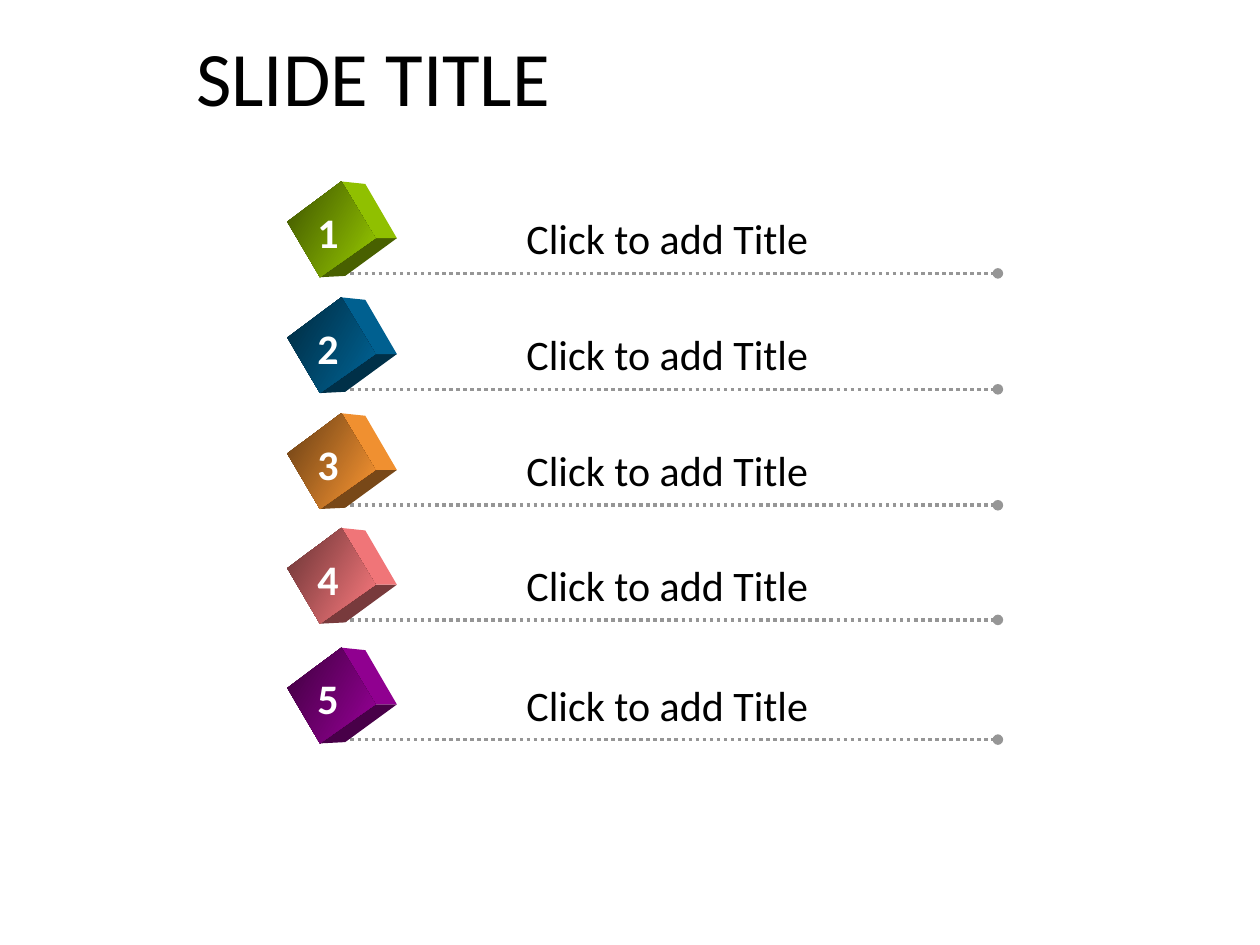
from lxml import etree
from pptx import Presentation
from pptx.dml.color import RGBColor
from pptx.enum.dml import MSO_LINE
from pptx.enum.shapes import MSO_CONNECTOR
from pptx.enum.text import MSO_ANCHOR, MSO_AUTO_SIZE
from pptx.oxml.ns import qn
from pptx.util import Inches, Pt

STRAIGHT = MSO_CONNECTOR.STRAIGHT
DOTTED = MSO_LINE.ROUND_DOT
MIDDLE = MSO_ANCHOR.MIDDLE
FIT_SHAPE = MSO_AUTO_SIZE.SHAPE_TO_FIT_TEXT
FONT = "Calibri"
COLORS = {
    "text": "000000", "number": "FFFFFF", "rule": "969696",
    "green": "99CC00", "blue": "006699", "orange": "FF9933",
    "pink": "FF7C80", "purple": "990099",
}
ROWS = [("green", 2.17), ("blue", 3.09), ("orange", 4.01),
        ("pink", 4.92), ("purple", 5.87)]
FRONT = [(2.28, -0.41), (2.71, -0.73), (2.98, -0.28), (2.54, 0.03)]
SIDE = [(2.71, -0.73), (2.9, -0.71), (3.15, -0.28), (2.98, -0.28)]
BOTTOM = [(2.98, -0.28), (3.15, -0.28), (2.74, 0.02), (2.54, 0.03)]


def shade(name, factor=1.0):
    """Return a named colour darkened by a factor."""
    color = RGBColor.from_string(COLORS[name])
    return RGBColor(*(round(channel * factor) for channel in color))


def add_text(shapes, text, left, top, width, height, size, color="text", bold=False):
    """Add one line of text and return its box."""
    box = shapes.add_textbox(Inches(left), Inches(top), Inches(width), Inches(height))
    frame = box.text_frame
    frame.text = text
    frame.word_wrap = False
    frame.auto_size = FIT_SHAPE
    font = frame.paragraphs[0].runs[0].font
    font.name, font.size, font.bold = FONT, Pt(size), bold
    font.color.rgb = shade(color)
    return box


def add_title(shapes, text):
    """Add the slide title, centred vertically in its box."""
    box = add_text(shapes, text, 1.46, 0.23, 7.1, 0.83, 44)
    frame = box.text_frame
    frame.auto_size = MSO_AUTO_SIZE.NONE
    frame.word_wrap = True
    frame.vertical_anchor = MIDDLE
    frame.paragraphs[0].line_spacing = 0.9


def add_rule(shapes, y):
    """Add a dotted rule that ends in a dot."""
    rule = shapes.add_connector(STRAIGHT, Inches(2.67), Inches(y), Inches(7.92), Inches(y))
    rule.line.color.rgb = shade("rule")
    rule.line.width = Pt(2)
    rule.line.dash_style = DOTTED
    outline = rule.line._get_or_add_ln()
    etree.SubElement(outline, qn("a:tailEnd"), type="oval")
    etree.SubElement(rule._element.spPr, qn("a:effectLst"))


def add_face(shapes, corners, y):
    """Add one outline of a cube, placed relative to the rule, and return it."""
    points = [(Inches(x), Inches(y + rise)) for x, rise in corners]
    builder = shapes.build_freeform(*points[0])
    builder.add_line_segments(points[1:], close=True)
    face = builder.convert_to_shape()
    face.shadow.inherit = False
    face.line.fill.background()
    return face


def add_cube(shapes, color, y):
    """Add a tilted cube with a shaded front, a bright side and a dark base."""
    for corners, factor in ((BOTTOM, 0.47), (SIDE, 0.94)):
        fill = add_face(shapes, corners, y).fill
        fill.solid()
        fill.fore_color.rgb = shade(color, factor)
    fill = add_face(shapes, FRONT, y).fill
    fill.gradient()
    fill.gradient_angle = 330
    for stop, factor in zip(fill.gradient_stops, (0.4, 1.0)):
        stop.color.rgb = shade(color, factor)


def add_row(slide, number, color, y):
    """Add one numbered row as a group."""
    shapes = slide.shapes.add_group_shape().shapes
    add_rule(shapes, y)
    add_cube(shapes, color, y)
    add_text(shapes, "Click to add Title", 4.08, y - 0.53, 2.67, 0.5, 24)
    add_text(shapes, str(number), 2.42, y - 0.58, 0.39, 0.5, 24, "number", True)


def main():
    """Build and save the slide."""
    deck = Presentation()
    deck.slide_width, deck.slide_height = Inches(10), Inches(7.5)
    slide = deck.slides.add_slide(deck.slide_layouts[6])
    add_title(slide.shapes, "SLIDE TITLE")
    for number, (color, y) in enumerate(ROWS, start=1):
        add_row(slide, number, color, y)
    deck.save("out.pptx")


if __name__ == "__main__":
    main()
